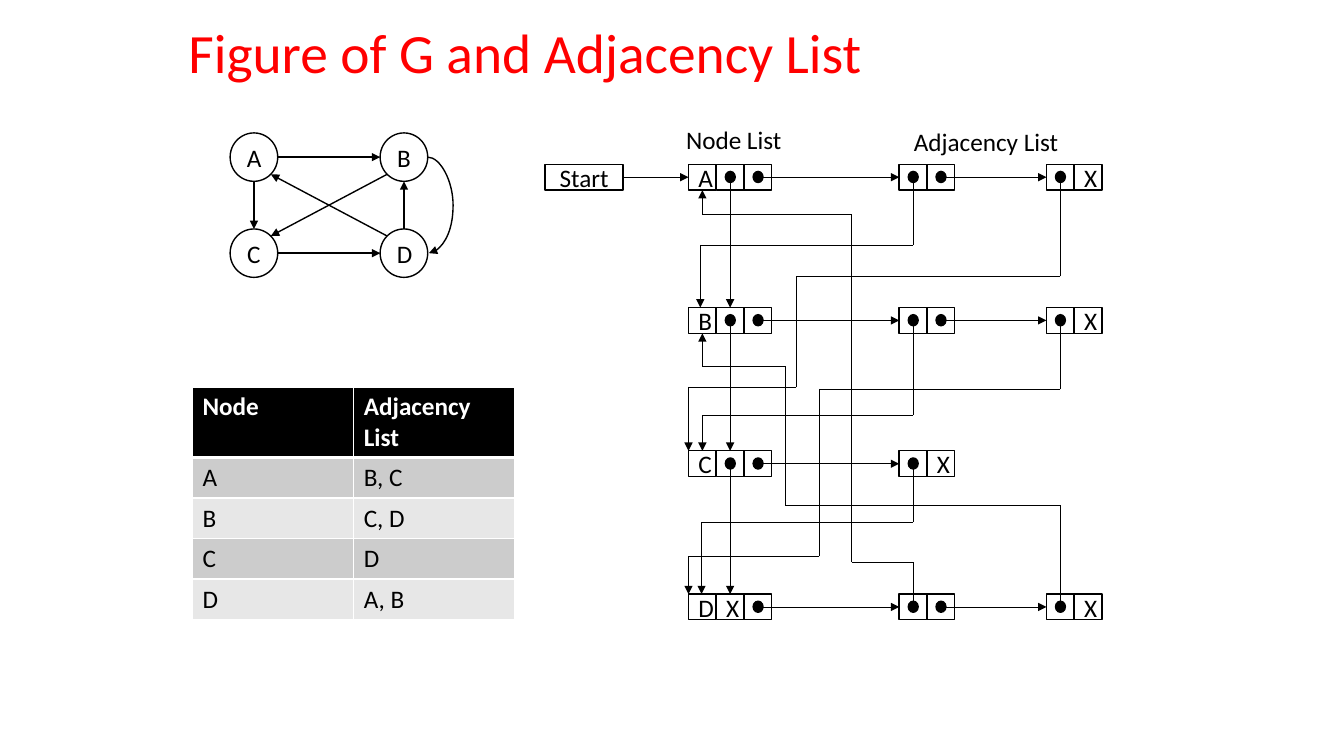
from dataclasses import dataclass

from lxml import etree
from pptx import Presentation
from pptx.dml.color import RGBColor
from pptx.enum.shapes import MSO_CONNECTOR, MSO_SHAPE
from pptx.enum.text import MSO_ANCHOR, PP_ALIGN
from pptx.oxml.ns import qn
from pptx.util import Cm, Pt

RECT, OVAL, DOT = MSO_SHAPE.RECTANGLE, MSO_SHAPE.OVAL, MSO_SHAPE.FLOWCHART_CONNECTOR
LINE, CURVE = MSO_CONNECTOR.STRAIGHT, MSO_CONNECTOR.CURVE
TOP, MIDDLE = MSO_ANCHOR.TOP, MSO_ANCHOR.MIDDLE
LEFT, CENTER = PP_ALIGN.LEFT, PP_ALIGN.CENTER


@dataclass(frozen=True)
class Theme:
    font: str = "Calibri"
    black: str = "000000"
    white: str = "FFFFFF"
    red: str = "FF0000"
    bands: tuple = ("CCCCCC", "E7E7E7")
    title: float = 39.6
    body: float = 18
    thick: float = 1
    thin: float = 0.5


THEME = Theme()

# Linked list: "." is a pointer dot, any other mark is text
CHAINS = [("A..", "..", ".X"), ("B..", "..", ".X"), ("C..", ".X"), ("DX.", "..", ".X")]
COLS = (17.35, 22.66, 26.37)
CELL_W, CELL_H = 0.7, 0.65
ROWS = [4.14 + 3.61 * i for i in range(4)]
DOT_X, DOT_Y, DOT_W, DOT_H = 0.23, 0.18, 0.25, 0.28

# Pointer routes: chain row, block column, then turns as y, x, y, x, y
ROUTES = [
    (0, 1, 6.17, 17.65, ROWS[1]),
    (0, 2, 6.96, 20.07, 9.75, COLS[0], ROWS[2]),
    (1, 1, 10.46, 17.7, ROWS[2]),
    (1, 2, 9.8, 20.65, 14.02, COLS[0], ROWS[3]),
    (2, 1, 13.16, 17.68, ROWS[3]),
    (3, 1, 14.17, 21.46, 5.41, 17.7, ROWS[0] + CELL_H),
    (3, 2, 12.73, 19.79, 9.22, 17.7, ROWS[1] + CELL_H),
]

# Graph: node centres, and edges as node, side, node, side
NODE_W, NODE_H = 1.2, 1.22
NODES = {"A": (6.4, 3.96), "B": (10.18, 3.96), "C": (6.4, 6.38), "D": (10.18, 6.38)}
DIAG = 0.71
EDGES = [
    ("A", (1, 0), "B", (-1, 0)),
    ("D", (0, -1), "B", (0, 1)),
    ("C", (1, 0), "D", (-1, 0)),
    ("A", (0, 1), "C", (0, -1)),
    ("D", (-DIAG, -DIAG), "A", (DIAG, DIAG)),
    ("B", (-DIAG, DIAG), "C", (DIAG, -DIAG)),
]

TABLE = [("Node", "Adjacency List"), ("A", "B, C"), ("B", "C, D"), ("C", "D"), ("D", "A, B")]


def rgb(code):
    return RGBColor.from_string(code)


def apply(item, **values):
    for name, value in values.items():
        setattr(item, name, value)


def write(frame, text, size=THEME.body, color=THEME.black, align=LEFT,
          anchor=TOP, bold=False, space=1.0):
    apply(frame, word_wrap=True, vertical_anchor=anchor)
    para = frame.paragraphs[0]
    apply(para, alignment=align, line_spacing=space)
    run = para.add_run()
    run.text = text
    apply(run.font, name=THEME.font, size=Pt(size), bold=bold)
    run.font.color.rgb = rgb(color)


def label(slide, text, x, y, w, h, **look):
    box = slide.shapes.add_textbox(Cm(x), Cm(y), Cm(w), Cm(h))
    write(box.text_frame, text, **look)


def shape(slide, kind, x, y, w, h, text="", fill=THEME.white):
    item = slide.shapes.add_shape(kind, Cm(x), Cm(y), Cm(w), Cm(h))
    item.shadow.inherit = False
    item.fill.solid()
    item.fill.fore_color.rgb = rgb(fill)
    item.line.color.rgb = rgb(THEME.black)
    item.line.width = Pt(THEME.thick)
    if text:
        write(item.text_frame, text, align=CENTER, anchor=MIDDLE)


def line(slide, start, end, width=THEME.thin, head=True, kind=LINE):
    item = slide.shapes.add_connector(kind, *map(Cm, start + end))
    item.line.color.rgb = rgb(THEME.black)
    item.line.width = Pt(width)
    props = item._element.spPr
    if head:
        etree.SubElement(props.find(qn("a:ln")), qn("a:tailEnd"), type="triangle")
    etree.SubElement(props, qn("a:effectLst"))
    return item


def block(slide, x, y, marks):
    for i, mark in enumerate(marks):
        left = x + i * CELL_W
        shape(slide, RECT, left, y, CELL_W, CELL_H, mark.strip("."))
        if mark == ".":
            shape(slide, DOT, left + DOT_X, y + DOT_Y, DOT_W, DOT_H, fill=THEME.black)


def route(slide, row, col, *turns):
    """Draw right-angled pieces, down or up first, with a head on the last."""
    spot = (COLS[col] + CELL_W / 2, ROWS[row] + CELL_H / 2)
    for i, turn in enumerate(turns):
        goal = (turn, spot[1]) if i % 2 else (spot[0], turn)
        line(slide, spot, goal, head=i == len(turns) - 1)
        spot = goal


def lists(slide):
    # Start box and headings
    mid = ROWS[0] + CELL_H / 2
    shape(slide, RECT, 13.74, ROWS[0], 1.96, CELL_H, "Start")
    line(slide, (15.7, mid), (COLS[0], mid))
    label(slide, "Node List", 17.04, 3.02, 3.02, 1.02)
    label(slide, "Adjacency List", 22.78, 3.05, 4.19, 1.02)

    # Blocks and the links along each chain
    for y, chain in zip(ROWS, CHAINS):
        for x, marks in zip(COLS, chain):
            block(slide, x, y, marks)
        mid = y + CELL_H / 2
        for x, goal, marks in zip(COLS, COLS[1:], chain[:-1]):
            edge = x + (len(marks) - 1) * CELL_W + DOT_X + DOT_W
            line(slide, (edge, mid), (goal, mid))

    # Links down the node list
    x = COLS[0] + CELL_W * 1.5
    for y, goal in zip(ROWS, ROWS[1:]):
        line(slide, (x, y + DOT_Y + DOT_H), (x, goal))
    for turns in ROUTES:
        route(slide, *turns)


def port(name, side):
    x, y = NODES[name]
    return x + side[0] * NODE_W / 2, y + side[1] * NODE_H / 2


def graph(slide):
    for name, (x, y) in NODES.items():
        shape(slide, OVAL, x - NODE_W / 2, y - NODE_H / 2, NODE_W, NODE_H, name)
    for tail, out, tip, into in EDGES:
        line(slide, port(tail, out), port(tip, into), THEME.thick)

    # Curved edge from B to D, bulging past its narrow frame
    (x, y), (_, low) = port("B", (1, 0)), port("D", (1, 0))
    gap, bulge = 0.03, 0.64
    arc = line(slide, (x, y), (x + gap, low), THEME.thick, kind=CURVE)
    guides = arc._element.spPr.find(qn("a:prstGeom")).find(qn("a:avLst"))
    etree.SubElement(guides, qn("a:gd"), name="adj1",
                     fmla=f"val {round(bulge / gap * 100000)}")


def border(cell, row):
    props = cell._tc.get_or_add_tcPr()
    heavy = {(0, "B"), (1, "T")}
    for side in "LRTB":
        width = 3 if (row, side) in heavy else 1
        edge = etree.SubElement(props, qn(f"a:ln{side}"), w=str(Pt(width)))
        fill = etree.SubElement(edge, qn("a:solidFill"))
        etree.SubElement(fill, qn("a:srgbClr"), val=THEME.white)


def table(slide):
    frame = slide.shapes.add_table(len(TABLE), 2, Cm(4.85), Cm(9.75), Cm(8.13), Cm(5.85))
    grid = frame.table
    for r, texts in enumerate(TABLE):
        grid.rows[r].height = Cm(1.02 if r else 1.77)
        for c, text in enumerate(texts):
            cell = grid.cell(r, c)
            border(cell, r)
            cell.fill.solid()
            cell.fill.fore_color.rgb = rgb(THEME.bands[(r - 1) % 2] if r else THEME.black)
            write(cell.text_frame, text, bold=r == 0,
                  color=THEME.black if r else THEME.white)


def main():
    deck = Presentation()
    apply(deck, slide_width=Cm(33.87), slide_height=Cm(19.05))
    slide = deck.slides.add_slide(deck.slide_layouts[6])
    label(slide, "Figure of G and Adjacency List", 4.5, 0.69, 29.21, 1.42,
          size=THEME.title, color=THEME.red, anchor=MIDDLE, space=0.9)
    table(slide)
    graph(slide)
    lists(slide)
    deck.save("out.pptx")


main()
